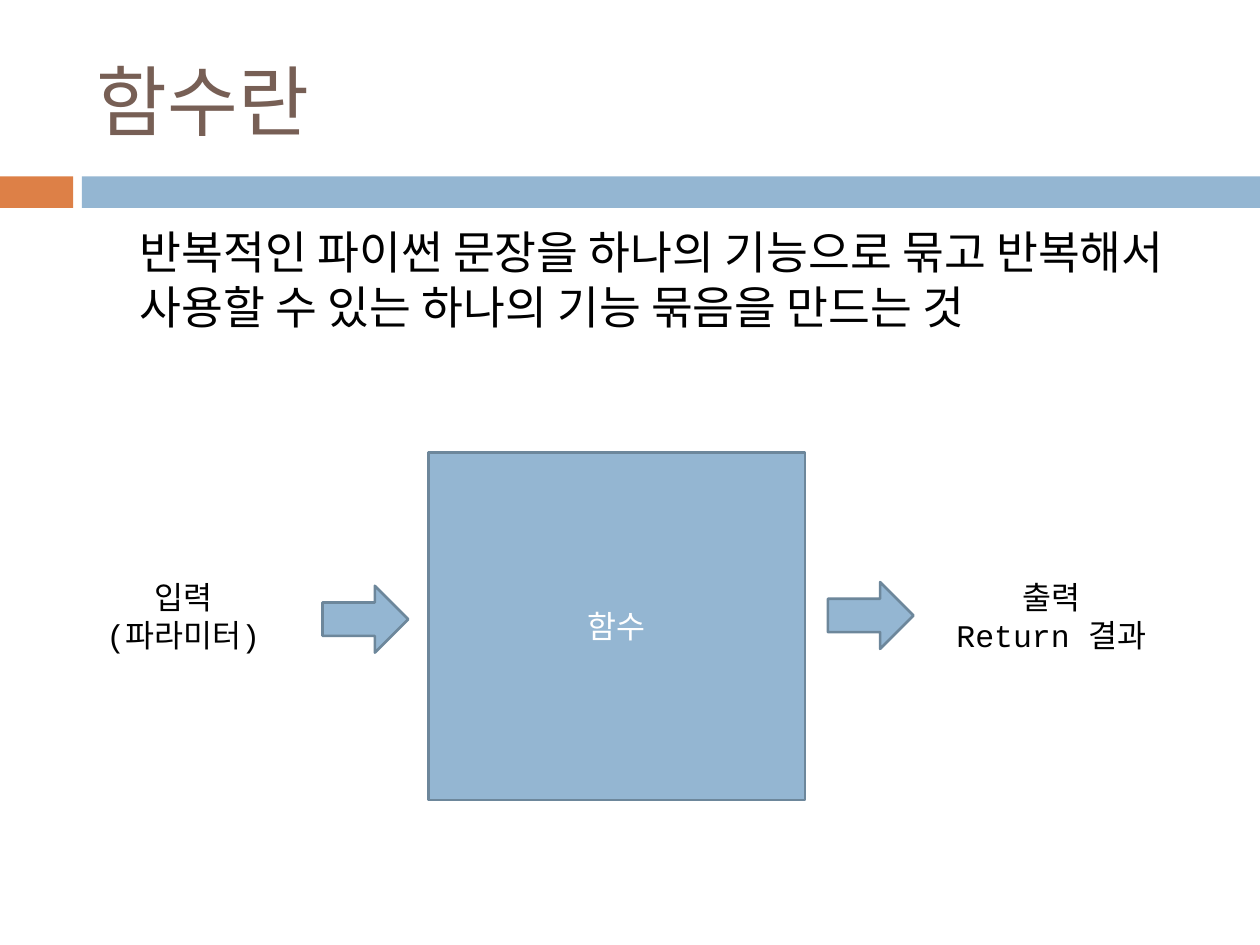
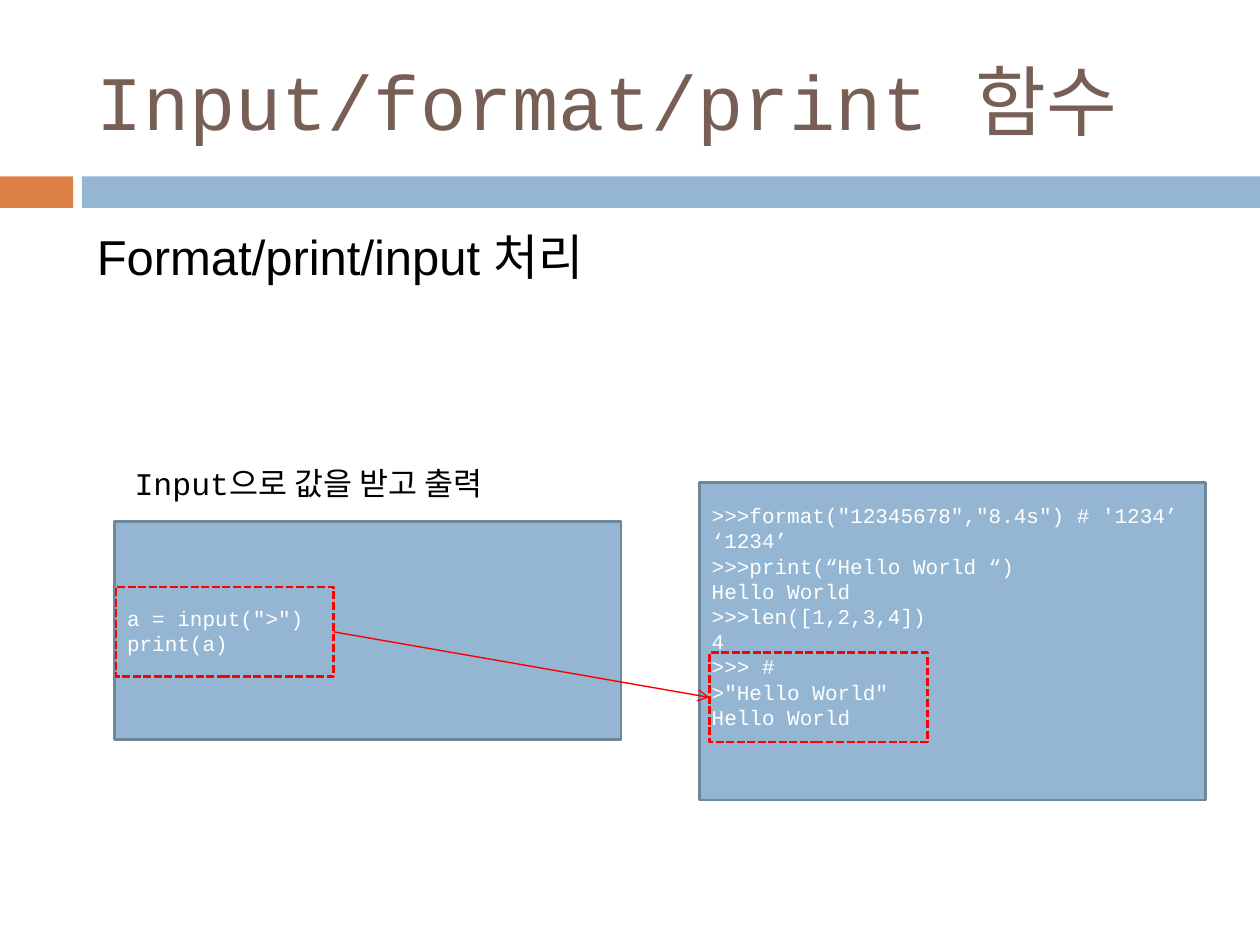
import pptx
import pptx.util
import pptx.dml.color
import pptx.enum.dml
import pptx.enum.shapes
import pptx.enum.text
from dataclasses import dataclass
from lxml import etree
from pptx.oxml.ns import qn

Inches, Pt = pptx.util.Inches, pptx.util.Pt
SHAPE = pptx.enum.shapes.MSO_SHAPE
ALIGN = pptx.enum.text.PP_ALIGN
ANCHOR = pptx.enum.text.MSO_ANCHOR


@dataclass(frozen=True)
class Theme:
    mono: str = "Courier New"
    sans: str = "Arial"
    title_color: str = "775F55"
    accent: str = "DD8047"
    blue: str = "94B6D2"
    outline: str = "6D879B"
    mark: str = "FF0000"
    text: str = "000000"
    light: str = "FFFFFF"
    title: int = 44
    heading: int = 28
    body: int = 26
    label: int = 18
    code: int = 12
    line: float = 1.5
    thin: float = 0.79


T = Theme()

BANDS = [((0, 1.4, 0.58, 0.25), T.accent), ((0.65, 1.4, 9.35, 0.25), T.blue)]
TITLE_BOX = (0.67, 0.25, 8.92, 1.08)

FUNCTION = {
    "title": "함수란",
    "body": "반복적인 파이썬 문장을 하나의 기능으로 묶고 반복해서 사용할 수 있는 하나의 기능 묶음을 만드는 것",
    "box": "함수",
    "arrows": [(2.56, 4.65), (6.57, 4.62)],
    "labels": [
        ((0.59, 4.54, 1.73, 0.71), ["입력", "(파라미터)"]),
        ((7.44, 4.54, 1.81, 0.71), ["출력", "Return 결과"]),
    ],
}

CONSOLE = {
    "title": "Input/format/print 함수",
    "heading": "Format/print/input 처리",
    "caption": "Input으로 값을 받고 출력",
    "source": ['a = input(">")', "print(a)"],
    "session": [
        '>>>format("12345678","8.4s") # \'1234’',
        "‘1234’",
        ">>>print(“Hello World “)",
        "Hello World",
        ">>>len([1,2,3,4])",
        "4",
        ">>> #",
        '>"Hello World"',
        "Hello World",
    ],
    "marks": [(0.92, 4.66), (5.63, 5.18)],
}


def rgb(value):
    return pptx.dml.color.RGBColor.from_string(value)


def write(sp, lines, size, color=T.text, font=T.mono, align=ALIGN.LEFT, anchor=ANCHOR.TOP):
    tf = sp.text_frame
    tf.word_wrap = True
    tf.vertical_anchor = anchor
    for i, line in enumerate(lines):
        p = tf.add_paragraph() if i else tf.paragraphs[0]
        p.text = line
        p.alignment = align
        p.font.size = Pt(size)
        p.font.name = font
        p.font.color.rgb = rgb(color)
    return tf


def add_text(s, box, lines, size, **style):
    return write(s.shapes.add_textbox(*map(Inches, box)), lines, size, **style)


def add_shape(s, box, fill=T.blue, line=T.outline, kind=SHAPE.RECTANGLE):
    sp = s.shapes.add_shape(kind, *map(Inches, box))
    sp.shadow.inherit = False
    if fill:
        sp.fill.solid()
        sp.fill.fore_color.rgb = rgb(fill)
    else:
        sp.fill.background()
    if line:
        sp.line.color.rgb = rgb(line)
        sp.line.width = Pt(T.line)
    else:
        sp.line.fill.background()
    return sp


def add_code(s, box, lines):
    return write(add_shape(s, box), lines, T.code, color=T.light, anchor=ANCHOR.MIDDLE)


def add_mark(s, left, top):
    sp = add_shape(s, (left, top, 1.73, 0.71), fill=None, line=T.mark)
    sp.line.dash_style = pptx.enum.dml.MSO_LINE.SQUARE_DOT
    return sp


def add_arrow(s, start, end):
    c = s.shapes.add_connector(pptx.enum.shapes.MSO_CONNECTOR.STRAIGHT, 0, 0, 0, 0)
    c.begin_connect(start, 3)
    c.end_connect(end, 1)
    c.line.color.rgb = rgb(T.mark)
    c.line.width = Pt(T.thin)
    etree.SubElement(c.line._get_or_add_ln(), qn("a:tailEnd"), type="arrow")
    etree.SubElement(c._element.spPr, qn("a:effectLst"))


def new_slide(prs, title):
    s = prs.slides.add_slide(prs.slide_layouts[6])
    for box, color in BANDS:
        add_shape(s, box, fill=color, line=None)
    add_text(s, TITLE_BOX, [title], T.title, color=T.title_color, anchor=ANCHOR.MIDDLE)
    return s


def function_slide(prs):
    s = new_slide(prs, FUNCTION["title"])
    tf = add_text(s, (0.51, 1.73, 9, 1.24), [FUNCTION["body"]], T.body)
    tf.margin_left = Inches(0.6)
    write(add_shape(s, (3.4, 3.59, 2.99, 2.76)), [FUNCTION["box"]], T.label,
          color=T.light, align=ALIGN.CENTER, anchor=ANCHOR.MIDDLE)
    for left, top in FUNCTION["arrows"]:
        add_shape(s, (left, top, 0.68, 0.53), kind=SHAPE.RIGHT_ARROW)
    for box, lines in FUNCTION["labels"]:
        add_text(s, box, lines, T.label, align=ALIGN.CENTER)


def console_slide(prs):
    s = new_slide(prs, CONSOLE["title"])
    add_text(s, (0.67, 1.75, 8.92, 1.53), [CONSOLE["heading"]], T.heading, font=T.sans)
    tf = add_code(s, (5.55, 3.83, 4.02, 2.52), CONSOLE["session"])
    tf.margin_bottom = Inches(0.45)
    add_code(s, (0.91, 4.14, 4.02, 1.73), CONSOLE["source"])
    add_text(s, (0.97, 3.63, 3.94, 0.4), [CONSOLE["caption"]], T.label)
    source_mark, result_mark = [add_mark(s, *at) for at in CONSOLE["marks"]]
    add_arrow(s, source_mark, result_mark)


def main():
    prs = pptx.Presentation()
    prs.slide_width, prs.slide_height = Inches(10), Inches(7.5)
    function_slide(prs)
    console_slide(prs)
    prs.save("out.pptx")


if __name__ == "__main__":
    main()
